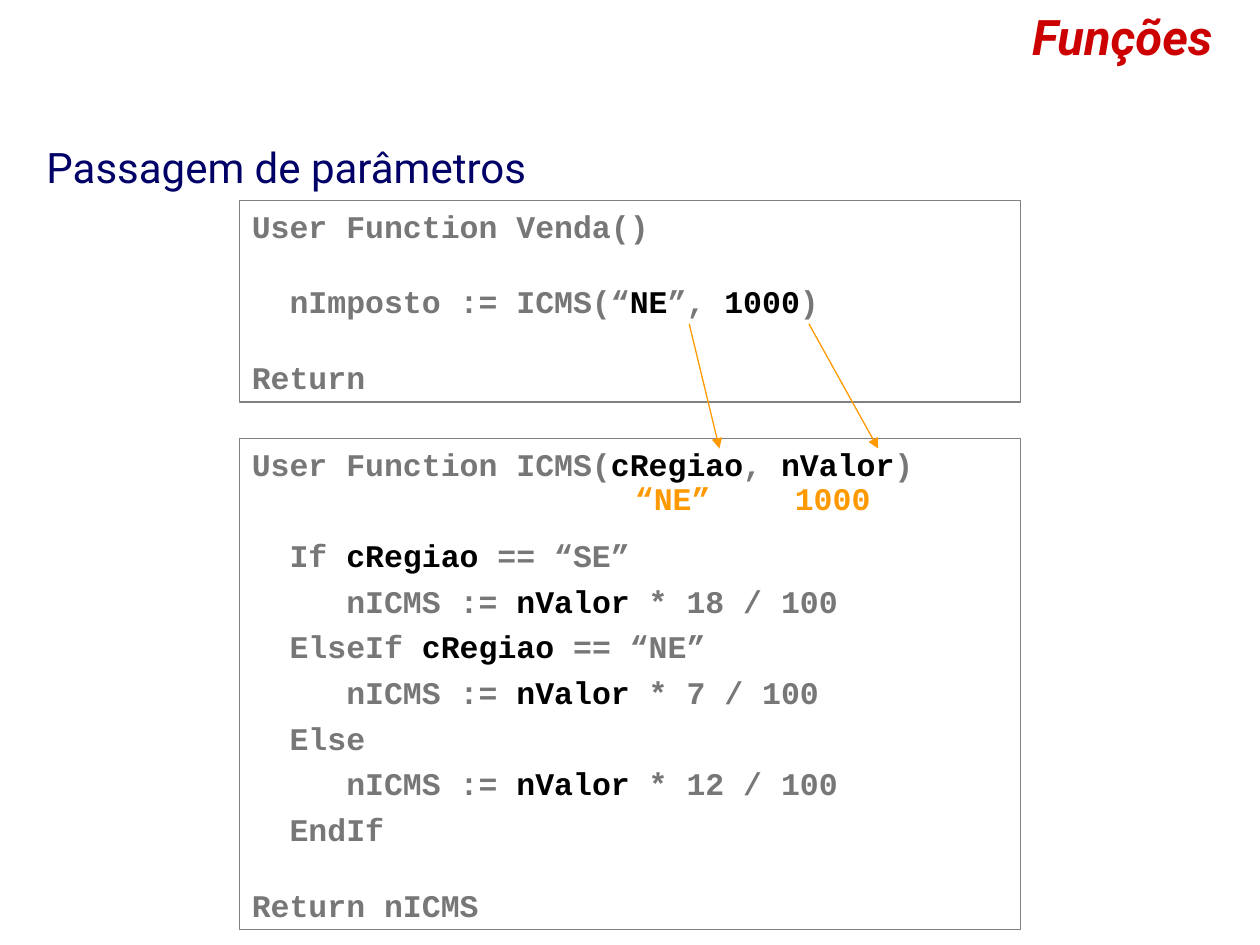
"""Builds the slide on passing parameters to functions."""
from lxml import etree
from pptx import Presentation
from pptx.dml.color import RGBColor
from pptx.enum.shapes import MSO_CONNECTOR, MSO_SHAPE
from pptx.enum.text import MSO_ANCHOR, PP_ALIGN
from pptx.oxml.ns import qn
from pptx.util import Inches, Pt

STRAIGHT, RECT, TOP = MSO_CONNECTOR.STRAIGHT, MSO_SHAPE.RECTANGLE, MSO_ANCHOR.TOP
LEFT, RIGHT = PP_ALIGN.LEFT, PP_ALIGN.RIGHT

COLORS = {"title": "CC0000", "topic": "000066", "code": "777777",
          "param": "000000", "border": "808080", "value": "FF9900"}
FONTS = {
    "title": {"name": "Roboto", "size": Pt(28), "bold": True, "italic": True},
    "topic": {"name": "Roboto", "size": Pt(24)},
    "code": {"name": "Courier New", "size": Pt(18), "bold": True},
}
FONTS["param"] = FONTS["value"] = FONTS["code"]
LINE, GAP = 21.6, 4.5

LABELS = [
    ("Funções", "title", (0.27, 0, 9.45, 0.57), RIGHT),
    ("Passagem de parâmetros", "topic", (0.27, 1.07, 9.45, 0.58), LEFT),
]
VALUES = [
    ("“NE”", "value", (4.94, 3.75, 1.55, 0.4), LEFT),
    ("1000", "value", (6.21, 3.75, 1.55, 0.4), LEFT),
]
# Runs alternate between plain code and parameters.
CALLER = [
    (0, ["User Function Venda()"]),
    (LINE, ["  nImposto := ICMS(“", "NE", "”, ", "1000", ")"]),
    (LINE, ["Return"]),
]
CALLED = [
    (0, ["User Function ICMS(", "cRegiao", ", ", "nValor", ")"]),
    (LINE + 2 * GAP, ["  If ", "cRegiao", " == “SE”"]),
    (GAP, ["     nICMS := ", "nValor", " * 18 / 100"]),
    (GAP, ["  ElseIf ", "cRegiao", " == “NE”"]),
    (GAP, ["     nICMS := ", "nValor", " * 7 / 100"]),
    (GAP, ["  Else"]),
    (GAP, ["     nICMS := ", "nValor", " * 12 / 100"]),
    (GAP, ["  EndIf"]),
    (LINE, ["Return nICMS"]),
]
BLOCKS = [(CALLER, (1.9, 1.59, 6.2, 1.6)), (CALLED, (1.9, 3.48, 6.2, 3.9))]
ARROWS = [(5.47, 2.57, 5.71, 3.56), (6.42, 2.57, 6.97, 3.56)]


def color(name):
    return RGBColor.from_string(COLORS[name])


def add_run(p, text, style):
    r = p.add_run()
    r.text = text
    for key, value in FONTS[style].items():
        setattr(r.font, key, value)
    r.font.color.rgb = color(style)


def add_label(s, text, style, box, align):
    tf = s.shapes.add_textbox(*map(Inches, box)).text_frame
    tf.word_wrap = True
    tf.paragraphs[0].alignment = align
    add_run(tf.paragraphs[0], text, style)


def add_code(s, lines, box):
    sp = s.shapes.add_shape(RECT, *map(Inches, box))
    sp.shadow.inherit = False
    sp.fill.background()
    sp.line.color.rgb = color("border")
    sp.line.width = Pt(0.75)
    tf = sp.text_frame
    tf.word_wrap = False
    tf.vertical_anchor = TOP
    for i, (space, runs) in enumerate(lines):
        p = tf.add_paragraph() if i else tf.paragraphs[0]
        p.alignment = LEFT
        p.line_spacing = Pt(LINE)
        if i:
            p.space_before = Pt(space)
        for j, text in enumerate(runs):
            add_run(p, text, "param" if j % 2 else "code")


def add_arrow(s, ends):
    line = s.shapes.add_connector(STRAIGHT, *map(Inches, ends))
    line.line.color.rgb = color("value")
    line.line.width = Pt(0.75)
    etree.SubElement(line.line._get_or_add_ln(), qn("a:tailEnd"), type="triangle")
    etree.SubElement(line._element.spPr, qn("a:effectLst"))


def main():
    prs = Presentation()
    prs.slide_width, prs.slide_height = Inches(10), Inches(7.5)
    s = prs.slides.add_slide(prs.slide_layouts[6])
    for label in LABELS:
        add_label(s, *label)
    for block in BLOCKS:
        add_code(s, *block)
    for ends in ARROWS:
        add_arrow(s, ends)
    for value in VALUES:
        add_label(s, *value)
    prs.save("out.pptx")


if __name__ == "__main__":
    main()
